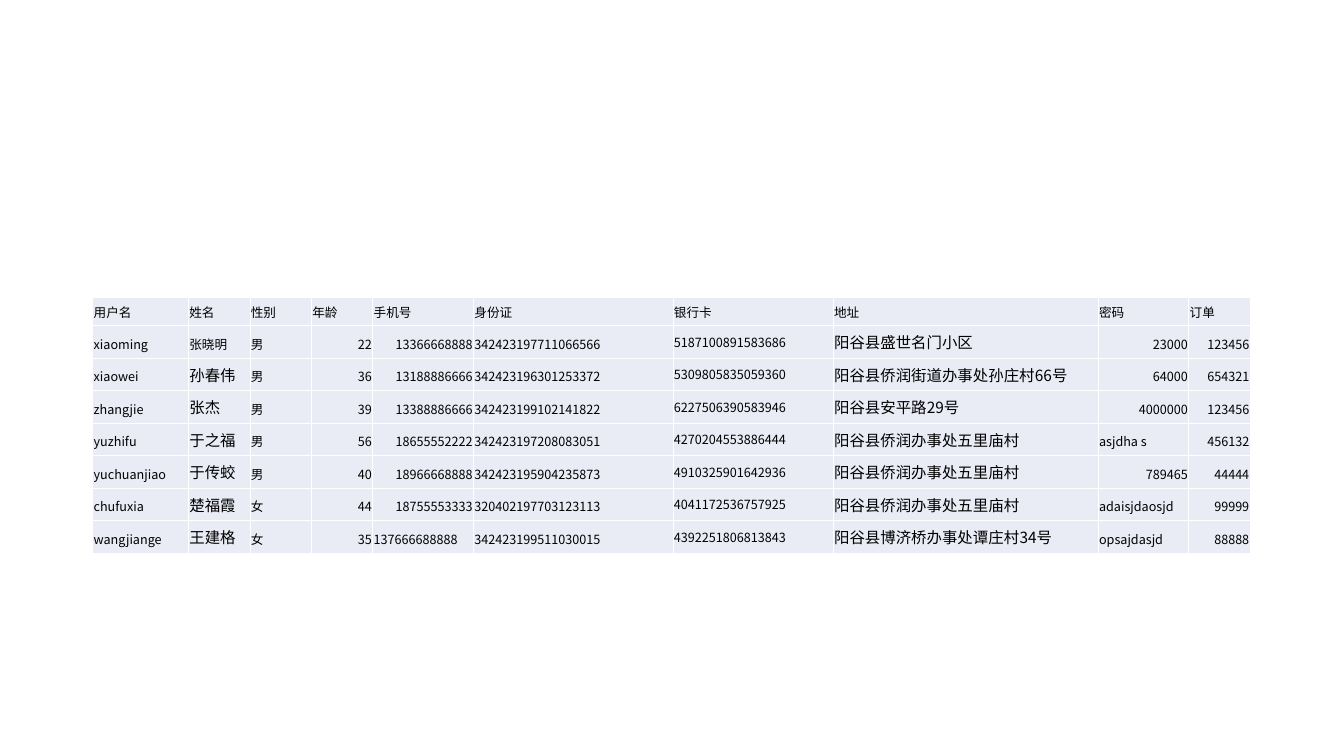
from lxml import etree
from pptx import Presentation
from pptx import util as u
from pptx.dml.color import RGBColor
from pptx.enum import text
from pptx.oxml.ns import qn

FONT = "Noto Sans CJK SC"
COLS = [0.95, 0.61, 0.61, 0.61, 1, 1.98, 1.59, 2.63, 0.9, 0.61]
NAME, CARD, HOME = 1, 6, 7
HEAD = ["用户名", "姓名", "性别", "年龄", "手机号", "身份证", "银行卡", "地址", "密码", "订单"]
USERS = [
    ["xiaoming", "张晓明", "男", "22", "13366668888", "342423197711066566",
     "5187100891583686", "阳谷县盛世名门小区", "23000", "123456"],
    ["xiaowei", "孙春伟", "男", "36", "13188886666", "342423196301253372",
     "5309805835059360", "阳谷县侨润街道办事处孙庄村66号", "64000", "654321"],
    ["zhangjie", "张杰", "男", "39", "13388886666", "342423199102141822",
     "6227506390583946", "阳谷县安平路29号", "4000000", "123456"],
    ["yuzhifu", "于之福", "男", "56", "18655552222", "342423197208083051",
     "4270204553886444", "阳谷县侨润办事处五里庙村", "asjdha s", "456132"],
    ["yuchuanjiao", "于传蛟", "男", "40", "18966668888", "342423195904235873",
     "4910325901642936", "阳谷县侨润办事处五里庙村", "789465", "44444"],
    ["chufuxia", "楚福霞", "女", "44", "18755553333", "320402197703123113",
     "4041172536757925", "阳谷县侨润办事处五里庙村", "adaisjdaosjd", "99999"],
    ["wangjiange", "王建格", "女", "35", "137666688888", "342423199511030015",
     "4392251806813843", "阳谷县博济桥办事处谭庄村34号", "opsajdasjd", "88888"],
]


def color(code):
    return RGBColor.from_string(code)


def border(cell, code, width):
    props = cell._tc.get_or_add_tcPr()
    for side in ("lnL", "lnR", "lnT", "lnB"):
        line = etree.SubElement(props, qn(f"a:{side}"), w=str(u.Pt(width)))
        fill = etree.SubElement(line, qn("a:solidFill"))
        etree.SubElement(fill, qn("a:srgbClr"), val=code)


def write(cell, words, size):
    para = cell.text_frame.paragraphs[0]
    # Short numbers sit on the right; long codes read as text.
    if words.isdigit() and len(words) < 12:
        para.alignment = text.PP_ALIGN.RIGHT
    run = para.add_run()
    run.text = words
    font = run.font
    font.size, font.name, font.bold = u.Pt(size), FONT, False
    font.color.rgb = color("000000")
    etree.SubElement(run._r.get_or_add_rPr(), qn("a:ea"), typeface=FONT)


def style(cell, anchor):
    cell.margin_left = cell.margin_right = u.Inches(0.01)
    cell.margin_top = cell.margin_bottom = u.Inches(0.05)
    cell.vertical_anchor = anchor
    border(cell, "FFFFFF", 0.45)
    cell.fill.solid()
    cell.fill.fore_color.rgb = color("E9EBF5")


def size_of(row, col):
    large = (col == HOME and row > 0) or (col == NAME and row > 1)
    return 11 if large else 9


def add_users(slide):
    rows = [HEAD] + USERS
    table = slide.shapes.add_table(
        len(rows), len(COLS), u.Inches(0.92), u.Inches(2.95),
        u.Inches(11.5), u.Inches(1.8)).table
    table.first_row = table.horz_banding = False
    for col, width in zip(table.columns, COLS):
        col.width = u.Inches(width)
    for r, row in enumerate(rows):
        table.rows[r].height = u.Inches(0.23 if r else 0.19)
        for c, words in enumerate(row):
            middle = r > 0 and c == CARD
            cell = table.cell(r, c)
            style(cell, text.MSO_ANCHOR.MIDDLE if middle else text.MSO_ANCHOR.BOTTOM)
            write(cell, words, size_of(r, c))


def main():
    deck = Presentation()
    deck.slide_width, deck.slide_height = u.Inches(13.34), u.Inches(7.5)
    add_users(deck.slides.add_slide(deck.slide_layouts[6]))
    deck.save("out.pptx")


if __name__ == "__main__":
    main()
